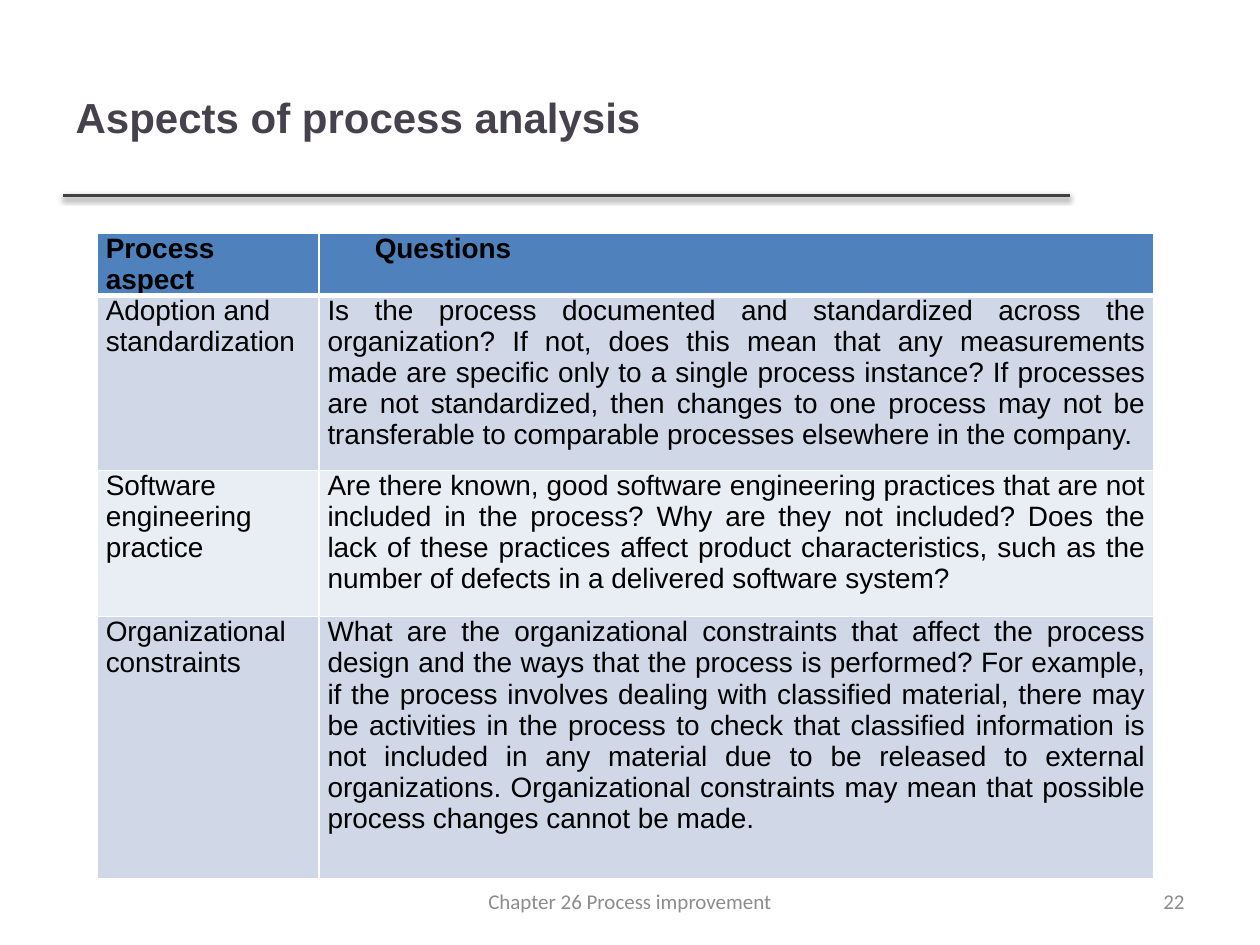
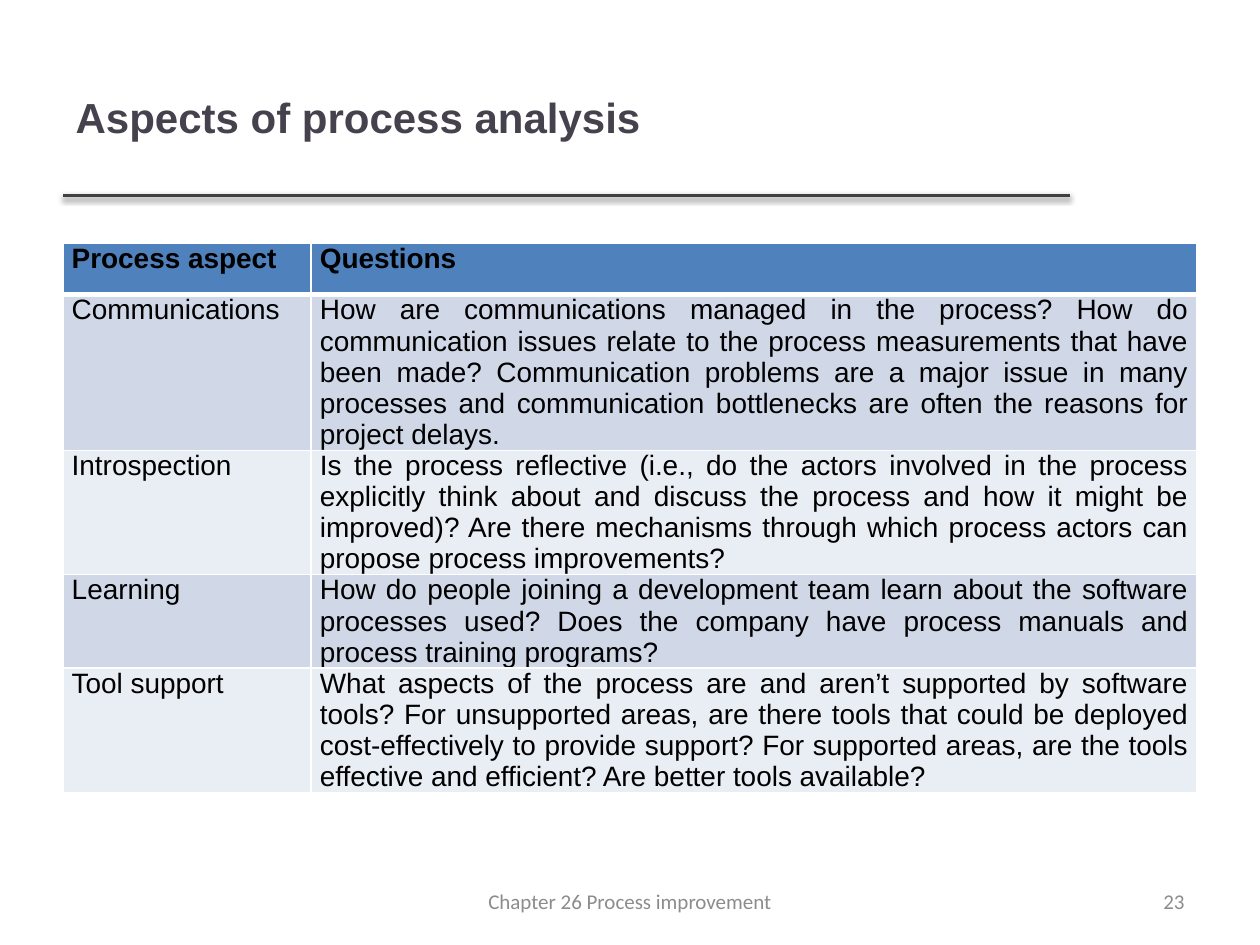
from lxml import etree
from pptx import Presentation, util as u
from pptx.dml.color import RGBColor
from pptx.enum import shapes, text
from pptx.oxml import ns

Pt = u.Pt
LEFT, CENTER, RIGHT, JUSTIFY = (
    text.PP_ALIGN.LEFT, text.PP_ALIGN.CENTER, text.PP_ALIGN.RIGHT, text.PP_ALIGN.JUSTIFY)
WHITE, BLACK, TITLE, RULE, FOOTER = "FFFFFF", "000000", "46424D", "404040", "8C8C8C"
HEADER_FILL, BAND_FILLS = "4F81BD", ("D0D8E8", "E9EDF4")
HEADINGS = ("Process aspect", "Questions")

# Each page: number, table left and top, column widths, row heights,
# first-line indent of the "Questions" heading, body rows
pages = [
    (22, 55.44, 133.2, (126.72, 477.36), (31.68, 100.08, 83.52, 149.76), 27, [
        ("Adoption and standardization",
         "Is the process documented and standardized across the organization? If not, does "
         "this mean that any measurements made are specific only to a single process "
         "instance? If processes are not standardized, then changes to one process may not "
         "be transferable to comparable processes elsewhere in the company."),
        ("Software engineering practice",
         "Are there known, good software engineering practices that are not included in the "
         "process? Why are they not included? Does the lack of these practices affect "
         "product characteristics, such as the number of defects in a delivered software "
         "system?"),
        ("Organizational constraints",
         "What are the organizational constraints that affect the process design and the "
         "ways that the process is performed? For example, if the process involves dealing "
         "with classified material, there may be activities in the process to check that "
         "classified information is not included in any material due to be released to "
         "external organizations. Organizational constraints may mean that possible process "
         "changes cannot be made."),
    ]),
    (23, 36, 139.2, (141.84, 506.16), (29.2,) * 5, 0, [
        ("Communications",
         "How are communications managed in the process? How do communication issues relate "
         "to the process measurements that have been made? Communication problems are a "
         "major issue in many processes and communication bottlenecks are often the reasons "
         "for project delays. "),
        ("Introspection",
         "Is the process reflective (i.e., do the actors involved in the process explicitly "
         "think about and discuss the process and how it might be improved)? Are there "
         "mechanisms through which process actors can propose process improvements?"),
        ("Learning",
         "How do people joining a development team learn about the software processes used? "
         "Does the company have process manuals and process training programs?"),
        ("Tool support",
         "What aspects of the process are and aren’t supported by software tools? For "
         "unsupported areas, are there tools that could be deployed cost-effectively to "
         "provide support? For supported areas, are the tools effective and efficient? Are "
         "better tools available?"),
    ]),
]


def color(hex_code):
    return RGBColor.from_string(hex_code)


def write(frame, words, size, font, hex_code, align, bold=False):
    """Fill the frame with one formatted run and return its paragraph."""
    frame.word_wrap = True
    para = frame.paragraphs[0]
    para.alignment = align
    span = para.add_run()
    span.text = words
    span.font.size, span.font.name, span.font.bold = Pt(size), font, bold
    span.font.color.rgb = color(hex_code)
    return para


deck = Presentation()
deck.slide_width, deck.slide_height = Pt(720), Pt(540)

for number, left, top, widths, heights, indent, aspects in pages:
    page = deck.slides.add_slide(deck.slide_layouts[5])
    page.background.fill.solid()
    page.background.fill.fore_color.rgb = color(WHITE)

    # Title and the shadowed rule below it
    title = page.shapes.title
    title.left, title.top, title.width, title.height = Pt(36), Pt(21.6), Pt(574.6), Pt(90)
    title.text_frame.vertical_anchor = text.MSO_ANCHOR.MIDDLE
    write(title.text_frame, "Aspects of process analysis", 24, "Arial", TITLE, LEFT, True)

    rule = page.shapes.add_connector(
        shapes.MSO_CONNECTOR.STRAIGHT, Pt(36), Pt(111.6), Pt(611.28), Pt(111.6))
    rule.line.color.rgb = color(RULE)
    rule.line.width = Pt(2)
    effects = etree.SubElement(rule._element.spPr, ns.qn("a:effectLst"))
    shadow = etree.SubElement(effects, ns.qn("a:outerShdw"), blurRad=str(Pt(3.1)),
                              dist=str(Pt(1.6)), dir="5400000", rotWithShape="0")
    tint = etree.SubElement(shadow, ns.qn("a:srgbClr"), val=BLACK)
    etree.SubElement(tint, ns.qn("a:alpha"), val="38000")

    # Table of aspects and questions
    rows = [HEADINGS] + aspects
    table = page.shapes.add_table(
        len(rows), 2, Pt(left), Pt(top), Pt(sum(widths)), Pt(sum(heights))).table
    for column, width in zip(table.columns, widths):
        column.width = Pt(width)
    for r, (row, height) in enumerate(zip(rows, heights)):
        table.rows[r].height = Pt(height)
        for c, words in enumerate(row):
            cell = table.cell(r, c)
            cell.margin_left = cell.margin_right = Pt(5)
            cell.margin_top = cell.margin_bottom = 0
            cell.fill.solid()
            cell.fill.fore_color.rgb = color(BAND_FILLS[(r - 1) % 2] if r else HEADER_FILL)
            align = LEFT if r and c == 0 else JUSTIFY
            para = write(cell.text_frame, words, 16, "Arial", BLACK, align, r == 0)
            para.space_after = Pt(3)
            if r == 0 and c == 1:
                para._p.get_or_add_pPr().set("indent", str(Pt(indent)))

            # The edge under the header row is thicker than the others
            thick_side = {0: "B", 1: "T"}.get(r)
            properties = cell._tc.get_or_add_tcPr()
            for position, side in enumerate("LRTB"):
                edge = etree.Element(ns.qn("a:ln" + side),
                                     w=str(Pt(3 if side == thick_side else 1)))
                paint = etree.SubElement(edge, ns.qn("a:solidFill"))
                etree.SubElement(paint, ns.qn("a:srgbClr"), val=WHITE)
                properties.insert(position, edge)

    # Footer
    for x, width, words, align in (
            (516, 168, str(number), RIGHT),
            (246, 228, "Chapter 26 Process improvement", CENTER)):
        box = page.shapes.add_textbox(Pt(x), Pt(500.5), Pt(width), Pt(28.75))
        box.text_frame.vertical_anchor = text.MSO_ANCHOR.MIDDLE
        write(box.text_frame, words, 12, "Calibri", FOOTER, align)

deck.save("out.pptx")
